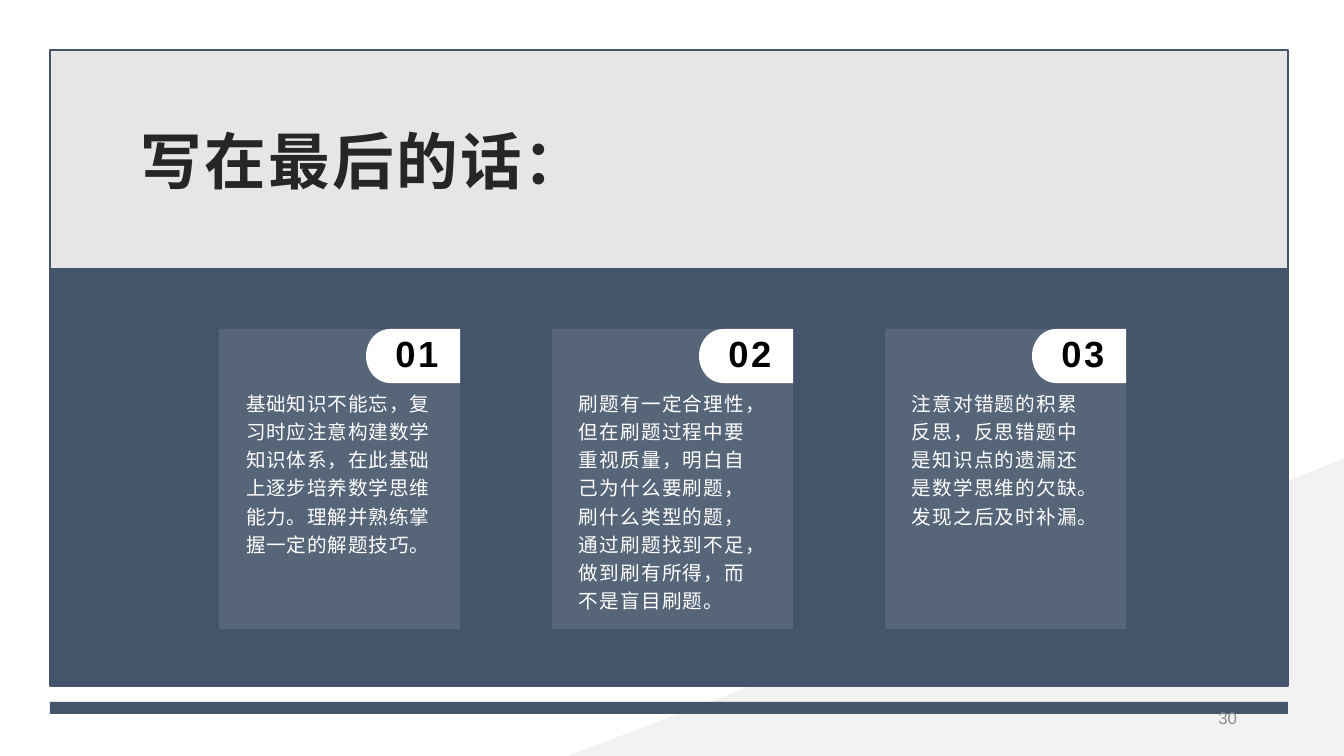
"""Build the closing slide: a title band above three numbered advice cards."""
from math import cos, pi, sin

from lxml.etree import SubElement
from pptx import Presentation
from pptx.dml.color import RGBColor
from pptx.enum.shapes import MSO_SHAPE as Preset
from pptx.enum.text import MSO_ANCHOR as Anchor, PP_ALIGN as Align
from pptx.oxml.ns import qn
from pptx.util import Pt

PX = 914400 / 100.8
THEME = {
    "navy": "44546A", "grey": "E7E6E6", "pale": "F2F2F2", "white": "FFFFFF",
    "ink": "262626", "black": "000000", "muted": "8C8C8C",
    "latin": "Arial", "chinese": "Noto Sans CJK SC",
    "title": 44, "number": 26, "body": 14, "footer": 12,
}
CARDS = [
    ("基础知识不能忘，复习时应注意构建数学知识体系，在此基础上逐步培养数学思维能力。理解并熟练掌握一定的解题技巧。", 60),
    ("刷题有一定合理性，但在刷题过程中要重视质量，明白自己为什么要刷题，刷什么类型的题，通过刷题找到不足，做到刷有所得，而不是盲目刷题。", 80),
    ("注意对错题的积累反思，反思错题中是知识点的遗漏还是数学思维的欠缺。发现之后及时补漏。", 80),
]


def paint(shape, fill, opacity=100, line=None):
    """Give a shape its fill, opacity and outline, without a shadow."""
    shape.shadow.inherit = False
    shape.fill.solid()
    shape.fill.fore_color.rgb = RGBColor.from_string(THEME[fill])
    if opacity < 100:
        color = shape.fill._xPr.find(qn("a:solidFill"))[0]
        SubElement(color, qn("a:alpha"), val=str(opacity * 1000))
    if line:
        shape.line.color.rgb = RGBColor.from_string(THEME[line])
        shape.line.width = Pt(1.5)
    else:
        shape.line.fill.background()


def write(box, place, text, style, color, font="latin", bold=False, spacing=0,
          anchor=Anchor.MIDDLE, margins=(10, 5), **layout):
    """Place a text holder and fill it with one formatted paragraph."""
    for name, value in zip(("left", "top", "width", "height"), place):
        setattr(box, name, round(value * PX))
    frame = box.text_frame
    across, down = (round(value * PX) for value in margins)
    settings = {"word_wrap": True, "vertical_anchor": anchor,
                "margin_left": across, "margin_right": across,
                "margin_top": down, "margin_bottom": down}
    for name, value in settings.items():
        setattr(frame, name, value)
    para = frame.paragraphs[0]
    for name, value in layout.items():
        setattr(para, name, value)
    span = para.add_run()
    span.text = text
    for name, value in {"size": Pt(THEME[style]), "bold": bold, "name": THEME[font]}.items():
        setattr(span.font, name, value)
    span.font.color.rgb = RGBColor.from_string(THEME[color])
    properties = span._r.get_or_add_rPr()
    properties.set("spc", str(spacing))
    SubElement(properties, qn("a:ea"), typeface=THEME[font])


deck = Presentation()
deck.slide_width, deck.slide_height = round(1344 * PX), round(756 * PX)
slide = deck.slides.add_slide(deck.slide_layouts[5])
shapes = slide.shapes

arc = [(24 - 24 * sin(step * pi / 24), 27 + 27 * cos(step * pi / 24)) for step in range(25)]
tab = [(94, 0), (94, 54)] + arc
corners = [
    ([(1344, 459), (1344, 756), (568, 756)], "pale", 100),
    ([(0, 0), (775, 0), (0, 297)], "white", 53),
]
for points, fill, opacity in corners:
    points = [(x * PX, y * PX) for x, y in points]
    builder = shapes.build_freeform(*points[0])
    builder.add_line_segments(points[1:])
    paint(builder.convert_to_shape(), fill, opacity)

bands = [
    (702, 12, "navy", None),
    (50, 219, "grey", "navy"),
    (269, 417, "navy", "navy"),
]
for top, height, fill, line in bands:
    band = shapes.add_shape(Preset.RECTANGLE, *(round(value * PX) for value in (50, top, 1238, height)))
    paint(band, fill, line=line)

title = shapes.title
title.element.getparent().append(title.element)
write(title, (134, 84, 1076, 151), "写在最后的话：", "title", "ink", "chinese",
      True, 160, margins=(7, 3), alignment=Align.LEFT)

for index, (advice, spacing) in enumerate(CARDS):
    left, top = 219 + 333 * index, 329
    card = shapes.add_shape(Preset.RECTANGLE, *(round(value * PX) for value in (left, top, 241, 300)))
    paint(card, "white", 10)
    points = [((left + 147 + x) * PX, (top + y) * PX) for x, y in tab]
    builder = shapes.build_freeform(*points[0])
    builder.add_line_segments(points[1:])
    paint(builder.convert_to_shape(), "white")
    write(shapes.add_textbox(0, 0, 0, 0), (left + 17, 382, 206, 238), advice, "body", "white",
          spacing=spacing, anchor=Anchor.TOP, line_spacing=1.2, space_after=Pt(8))
    write(shapes.add_textbox(0, 0, 0, 0), (left + 157, top, 82, 54), f"{index + 1:02}", "number", "black",
          bold=True, spacing=180, alignment=Align.CENTER, line_spacing=0.9, space_after=Pt(8))

write(shapes.add_textbox(0, 0, 0, 0), (950, 700, 297, 35), "30", "footer", "muted",
      alignment=Align.RIGHT)

deck.save("out.pptx")
